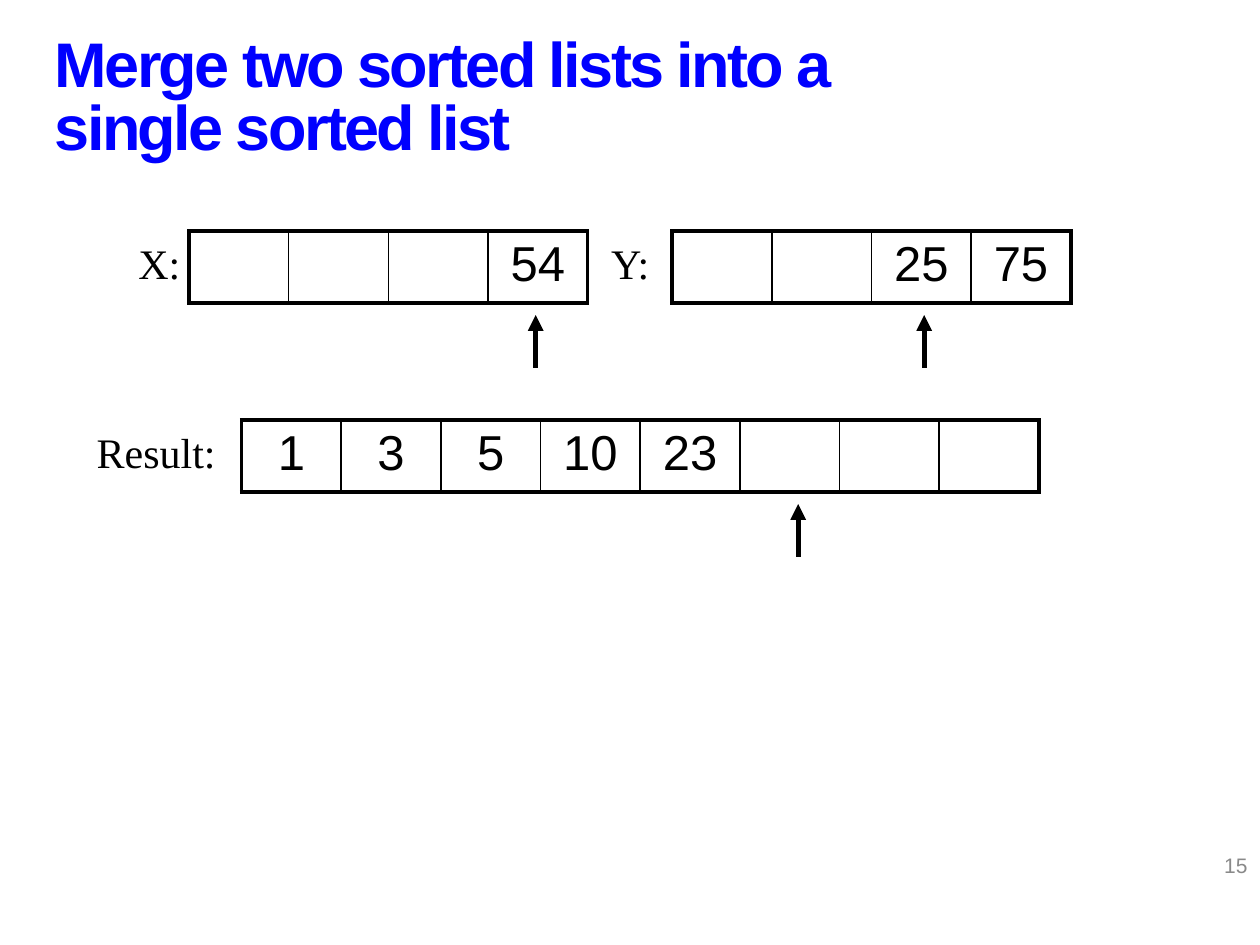
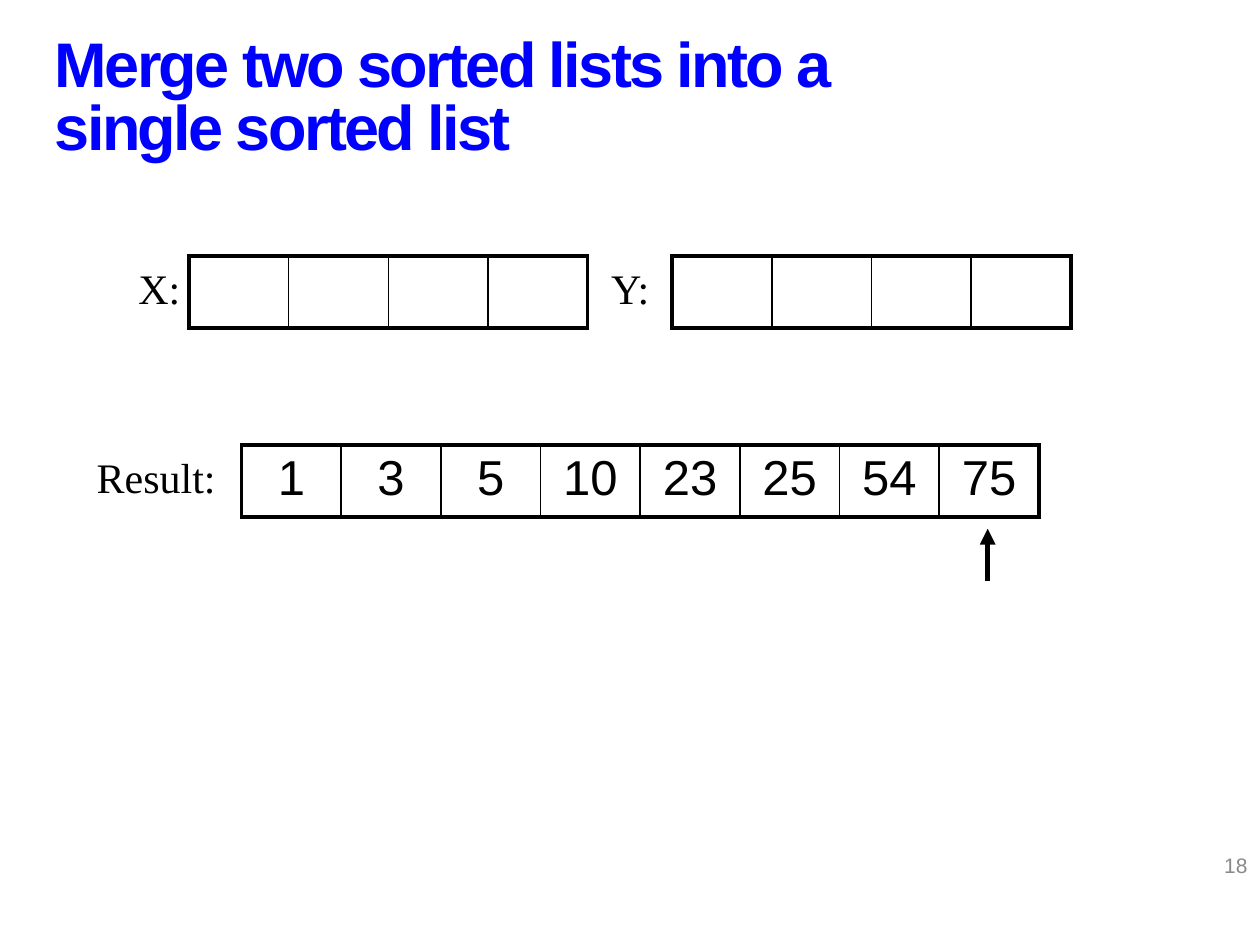
import pptx
import pptx.dml.color
import pptx.enum.shapes
import pptx.enum.text
import pptx.oxml
import pptx.oxml.ns
import pptx.util
from pptx.util import Cm

TITLE = "Merge two sorted lists into a single sorted list"
BLANK = ""

# Each list: label, cell values, and the x of its pointer arrow in cm (None: no arrow)
STEPS = [
    {"number": "15", "shift": 0, "lists": [
        ("X:", [BLANK, BLANK, BLANK, "54"], 10.8),
        ("Y:", [BLANK, BLANK, "25", "75"], 18.63),
        ("Result:", ["1", "3", "5", "10", "23", BLANK, BLANK, BLANK], 16.09),
    ]},
    {"number": "18", "shift": 0.5, "lists": [
        ("X:", [BLANK] * 4, None),
        ("Y:", [BLANK] * 4, None),
        ("Result:", ["1", "3", "5", "10", "23", "25", "54", "75"], 19.91),
    ]},
]

# Label: label left, label width, list left, top (cm)
PLACES = {
    "X:": (2.54, 1.48, 3.81, 4.66),
    "Y:": (12.07, 1.48, 13.55, 4.66),
    "Result:": (1.7, 2.97, 4.87, 8.47),
}
CELL_WIDTH, CELL_HEIGHT = 2.01, 1.45
ARROW_DROP, ARROW_LENGTH = 1.69, 1.06
OUTER_PT, INNER_PT = 2.25, 1

BLACK, BLUE, GREY = "000000", "0000FF", "898989"
SANS, SERIF = "Arial", "Times New Roman"
ALIGN = pptx.enum.text.PP_ALIGN
MIDDLE = pptx.enum.text.MSO_ANCHOR.MIDDLE


def rgb(color):
    return pptx.dml.color.RGBColor.from_string(color)


def write(frame, text, size, font, color, align=ALIGN.LEFT):
    frame.text = text
    frame.word_wrap = True
    paragraph = frame.paragraphs[0]
    paragraph.alignment = align
    run = paragraph.runs[0]
    run.font.size = pptx.util.Pt(size)
    run.font.name = font
    run.font.color.rgb = rgb(color)
    return paragraph


def add_title(slide):
    title = slide.shapes.title
    title.left, title.top, title.width, title.height = Cm(0.85), Cm(0.42), Cm(17.57), Cm(3.18)
    title.text_frame.vertical_anchor = MIDDLE
    paragraph = write(title.text_frame, TITLE, 36, SANS, BLUE)
    title.text_frame.auto_size = pptx.enum.text.MSO_AUTO_SIZE.NONE
    paragraph.line_spacing = pptx.util.Pt(36)
    font = paragraph.runs[0].font
    font.bold = True
    font._element.set("spc", "-150")


def add_number(slide, number):
    box = slide.shapes.add_textbox(Cm(19.47), Cm(16.93), Cm(5.93), Cm(1.01))
    box.text_frame.vertical_anchor = MIDDLE
    write(box.text_frame, number, 12, SANS, GREY, ALIGN.RIGHT)


def set_borders(cell, widths):
    properties = cell._tc.get_or_add_tcPr()
    for side, width in widths.items():
        properties.append(pptx.oxml.parse_xml(
            f'<a:ln{side} {pptx.oxml.ns.nsdecls("a")} w="{int(pptx.util.Pt(width))}">'
            f'<a:solidFill><a:srgbClr val="{BLACK}"/></a:solidFill></a:ln{side}>'))


def add_list(slide, values, left, top):
    """Draw the values as a one-row table with a thick outer frame."""
    table = slide.shapes.add_table(
        1, len(values), Cm(left), Cm(top),
        Cm(CELL_WIDTH * len(values)), Cm(CELL_HEIGHT)).table
    table.first_row = table.horz_banding = False
    last = len(values) - 1
    for index, value in enumerate(values):
        table.columns[index].width = Cm(CELL_WIDTH)
        cell = table.cell(0, index)
        set_borders(cell, {
            "L": OUTER_PT if index == 0 else INNER_PT,
            "R": OUTER_PT if index == last else INNER_PT,
            "T": OUTER_PT, "B": OUTER_PT})
        cell.fill.background()
        if value:
            write(cell.text_frame, value, 28, SANS, BLACK, ALIGN.CENTER)


def add_pointer(slide, x, top):
    arrow = slide.shapes.add_connector(
        pptx.enum.shapes.MSO_CONNECTOR.STRAIGHT,
        Cm(x), Cm(top + ARROW_LENGTH), Cm(x), Cm(top))
    arrow.line.color.rgb = rgb(BLACK)
    arrow.line.width = pptx.util.Pt(3)
    namespace = pptx.oxml.ns.nsdecls("a")
    arrow.line._get_or_add_ln().append(
        pptx.oxml.parse_xml(f'<a:tailEnd {namespace} type="triangle"/>'))
    arrow._element.spPr.append(pptx.oxml.parse_xml(f"<a:effectLst {namespace}/>"))


def main():
    deck = pptx.Presentation()
    deck.slide_width, deck.slide_height = Cm(25.4), Cm(19.05)
    title_only = deck.slide_layouts[5]
    for step in STEPS:
        slide = deck.slides.add_slide(title_only)
        add_title(slide)
        add_number(slide, step["number"])
        for label, values, pointer_x in step["lists"]:
            label_left, label_width, left, top = PLACES[label]
            top += step["shift"]
            add_list(slide, values, left, top)
            if pointer_x is not None:
                add_pointer(slide, pointer_x, top + ARROW_DROP)
            box = slide.shapes.add_textbox(Cm(label_left), Cm(top), Cm(label_width), Cm(1.27))
            write(box.text_frame, label, 24, SERIF, BLACK)
    deck.save("out.pptx")


if __name__ == "__main__":
    main()
